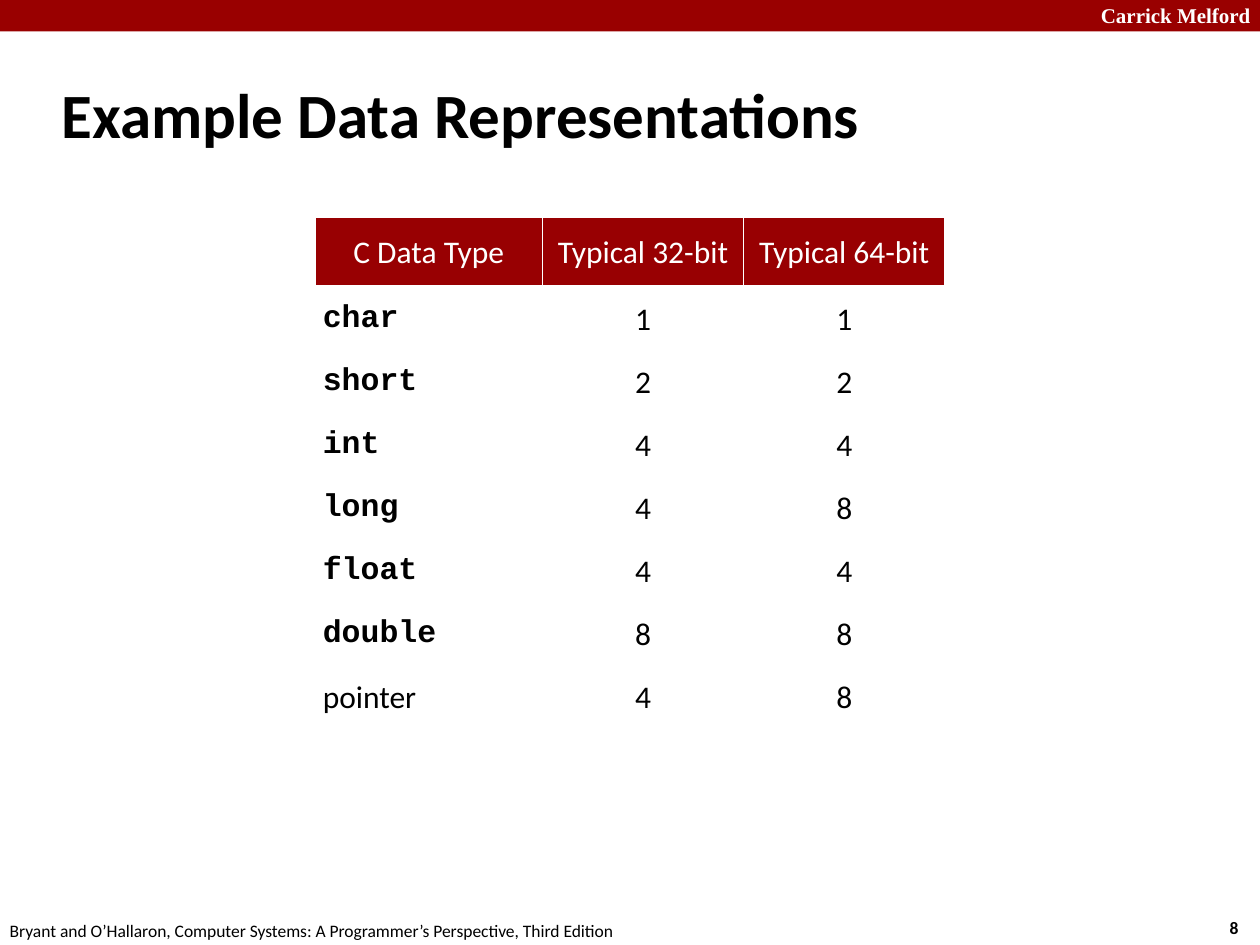
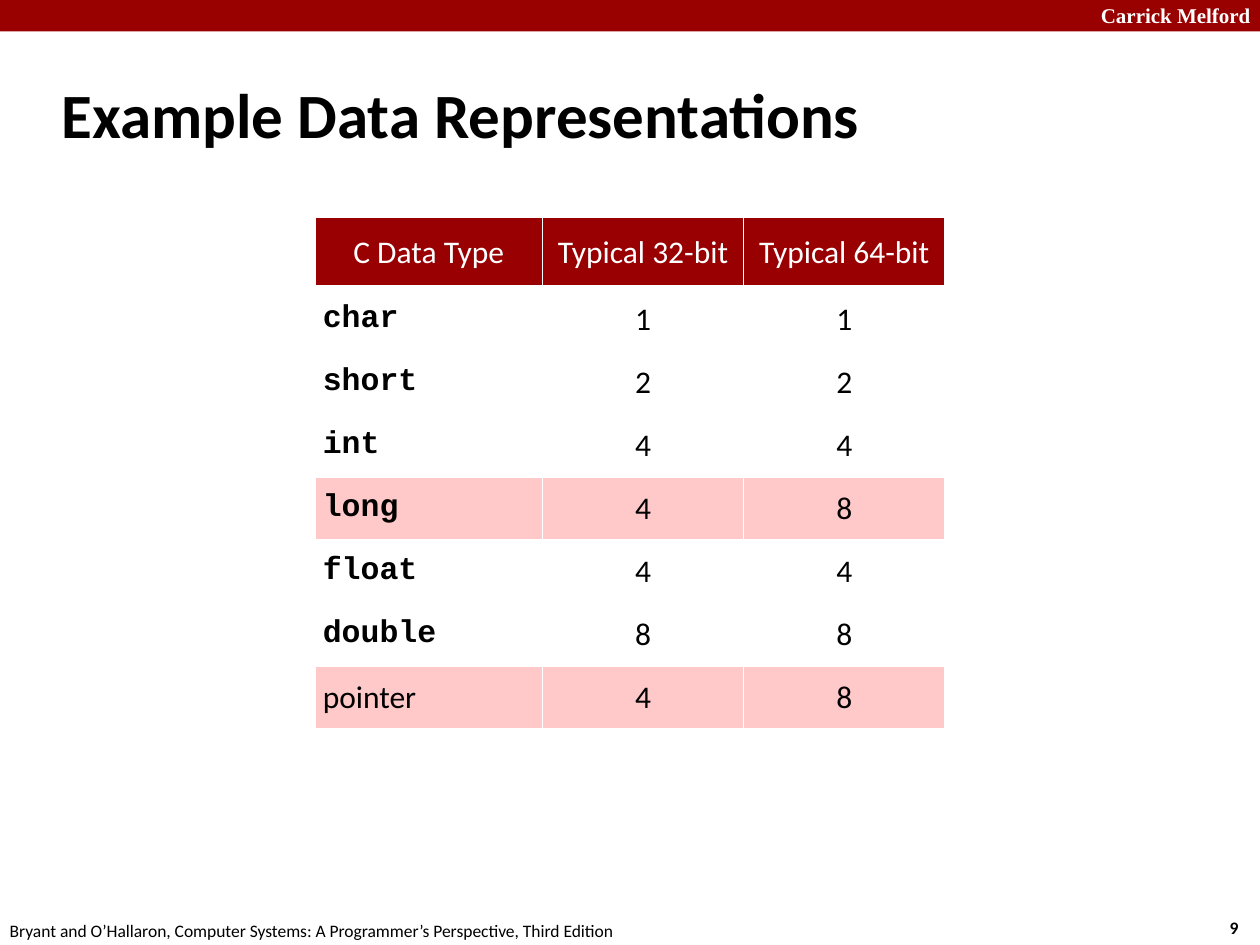
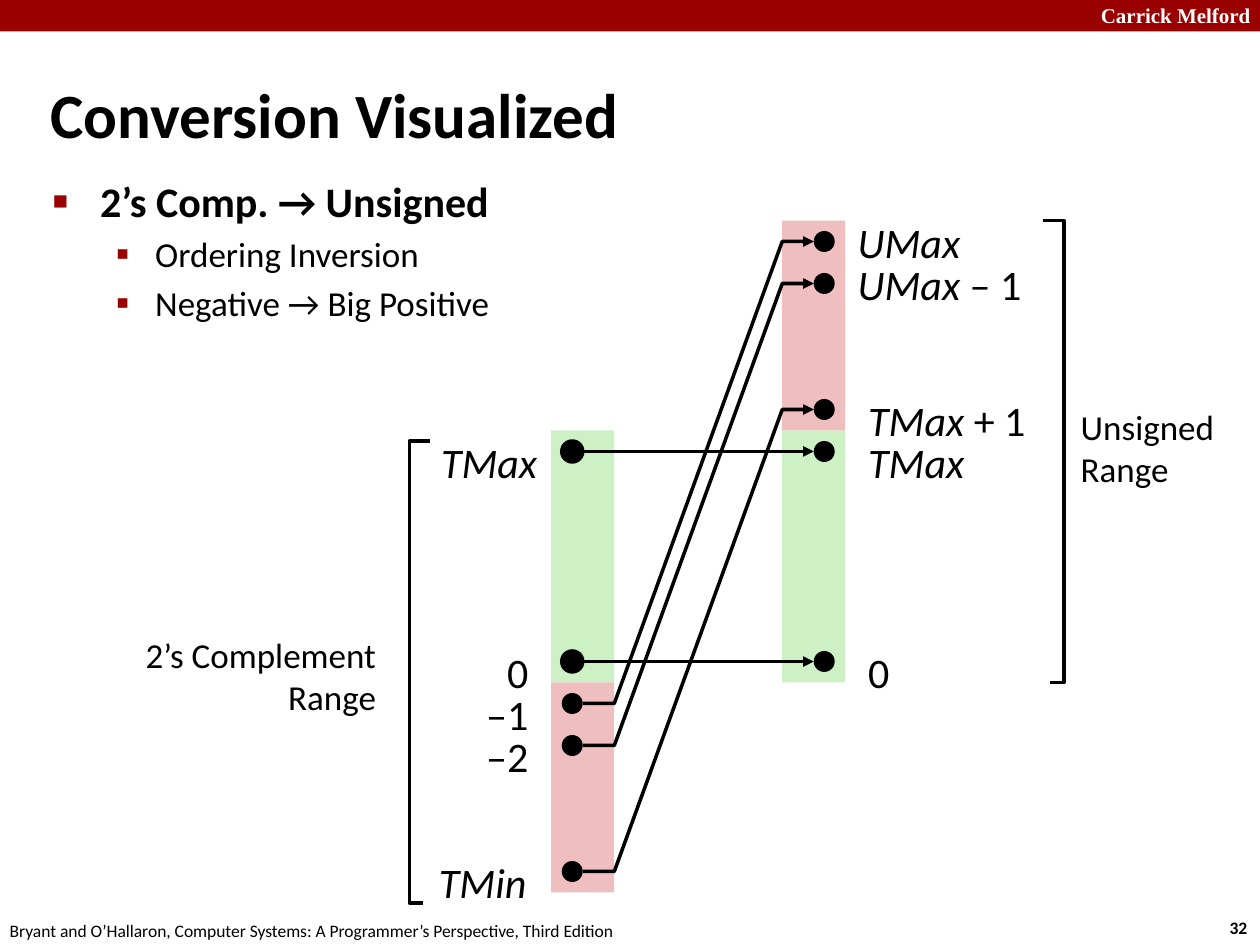
from pptx import Presentation
from pptx.dml.color import RGBColor
from pptx.enum import shapes, text
from pptx.oxml import parse_xml
from pptx.oxml.ns import nsdecls
from pptx.util import Pt

BAND_RED = "990000"
HEADER_RED = "980002"
HIGHLIGHT = "FFC8C9"
GREEN = "CDF1C5"
PINK = "EFBFBF"
BLACK = "000000"
WHITE = "FFFFFF"
BODY_FONT = "Calibri"
CODE_FONT = "Courier New"
LEFT, CENTER, RIGHT = text.PP_ALIGN.LEFT, text.PP_ALIGN.CENTER, text.PP_ALIGN.RIGHT

FOOTER = ("Bryant and O’Hallaron, Computer Systems: "
          "A Programmer’s Perspective, Third Edition")
SIZES = [
    ("C Data Type", "Typical 32-bit", "Typical 64-bit"),
    ("char", "1", "1"),
    ("short", "2", "2"),
    ("int", "4", "4"),
    ("long", "4", "8"),
    ("float", "4", "4"),
    ("double", "8", "8"),
    ("pointer", "4", "8"),
]


def color(value):
    return RGBColor.from_string(value)


def points(*values):
    return [Pt(value) for value in values]


def xml(tag, attributes="", content=""):
    return parse_xml(f"<a:{tag} {nsdecls('a')} {attributes}>{content}</a:{tag}>")


def solid(value):
    return f'<a:solidFill><a:srgbClr val="{value}"/></a:solidFill>'


def style_paragraph(paragraph, size, ink=BLACK, bold=False, font=BODY_FONT, align=LEFT):
    paragraph.alignment = align
    for run in paragraph.runs:
        run.font.size = Pt(size)
        run.font.name = font
        run.font.bold = bold
        run.font.color.rgb = color(ink)


def add_label(slide, box, words, size, **style):
    text_frame = slide.shapes.add_textbox(*points(*box)).text_frame
    text_frame.word_wrap = True
    text_frame.text = words
    for paragraph in text_frame.paragraphs:
        style_paragraph(paragraph, size, **style)
    return text_frame


def add_block(slide, kind, box, fill):
    shape = slide.shapes.add_shape(kind, *points(*box))
    shape.shadow.inherit = False
    shape.fill.solid()
    shape.fill.fore_color.rgb = color(fill)
    shape.line.fill.background()
    return shape


def style_line(line, arrow=False):
    line.color.rgb = color(BLACK)
    line.width = Pt(2)
    if arrow:
        line._get_or_add_ln().append(xml("tailEnd", 'type="triangle"'))


def add_arrow(slide, start, end):
    connector = slide.shapes.add_connector(
        shapes.MSO_CONNECTOR.STRAIGHT, *points(*start, *end))
    style_line(connector.line, arrow=True)
    connector._element.spPr.append(xml("effectLst"))


def add_polyline(slide, corners, arrow=False):
    start, *others = [points(*corner) for corner in corners]
    builder = slide.shapes.build_freeform(*start)
    builder.add_line_segments(others, close=False)
    shape = builder.convert_to_shape()
    shape.shadow.inherit = False
    shape.fill.background()
    style_line(shape.line, arrow)


def fill_placeholder(placeholder, box, words):
    (placeholder.left, placeholder.top,
     placeholder.width, placeholder.height) = points(*box)
    text_frame = placeholder.text_frame
    text_frame.text = words
    text_frame.auto_size = text.MSO_AUTO_SIZE.NONE
    return text_frame


def start_slide(presentation, layout, title, title_box, number):
    """Add a slide with the shared band, title, footer and slide number."""
    slide = presentation.slides.add_slide(presentation.slide_layouts[layout])
    add_block(slide, shapes.MSO_SHAPE.RECTANGLE, (0, 0, 720, 18), BAND_RED)
    add_label(slide, (622, -2, 103, 22), "Carrick Melford", 12,
              ink=WHITE, bold=True, font="Times New Roman")
    add_label(slide, (695.5, 520.5, 27, 19), str(number), 10, bold=True)
    add_label(slide, (-1.5, 522, 366, 19), FOOTER, 10)
    text_frame = fill_placeholder(slide.shapes.title, title_box, title)
    text_frame.vertical_anchor = text.MSO_ANCHOR.MIDDLE
    style_paragraph(text_frame.paragraphs[0], 36, bold=True)
    return slide


def add_borders(cell, top, bottom):
    for side, width in (("L", 1), ("R", 1), ("T", top), ("B", bottom)):
        cell._tc.get_or_add_tcPr().append(
            xml(f"ln{side}", f'w="{Pt(width)}"', solid(WHITE)))


def add_size_table(slide, box, highlighted):
    table = slide.shapes.add_table(len(SIZES), len(SIZES[0]), *points(*box)).table
    table.first_row = table.horz_banding = False
    for column, width in zip(table.columns, (130, 115, 115)):
        column.width = Pt(width)
    for row_index, values in enumerate(SIZES):
        header = row_index == 0
        table.rows[row_index].height = Pt(40.5 if header else 36)
        for column_index, value in enumerate(values):
            cell = table.cell(row_index, column_index)
            cell.text = value
            cell.vertical_anchor = text.MSO_ANCHOR.MIDDLE
            cell.margin_left = cell.margin_right = Pt(4.5)
            cell.margin_top = cell.margin_bottom = Pt(4.5)
            type_name = column_index == 0 and not header
            code = type_name and value != "pointer"
            style_paragraph(cell.text_frame.paragraphs[0], 18,
                            ink=WHITE if header else BLACK, bold=code,
                            font=CODE_FONT if code else BODY_FONT,
                            align=LEFT if type_name else CENTER)
            add_borders(cell, top=3 if row_index == 1 else 1, bottom=3 if header else 1)
            if header or values[0] in highlighted:
                cell.fill.solid()
                cell.fill.fore_color.rgb = color(HEADER_RED if header else HIGHLIGHT)
            else:
                cell.fill.background()


def add_bullet_list(slide, box):
    items = [(0, "2’s Comp. → Unsigned"), (1, "Ordering Inversion"),
             (1, "Negative → Big Positive")]
    # size, left margin, hanging indent, bullet, bullet size in percent
    levels = [(24, 27, 27, "■", 60), (20, 58.5, 22.5, "▪", 110)]
    text_frame = fill_placeholder(slide.placeholders[1], box,
                                  "\n".join(words for _, words in items))
    for paragraph, (level, _) in zip(text_frame.paragraphs, items):
        size, margin, hanging, bullet, percent = levels[level]
        paragraph.level = level
        style_paragraph(paragraph, size, bold=level == 0)
        properties = paragraph._p.get_or_add_pPr()
        properties.set("marL", str(Pt(margin)))
        properties.set("indent", str(-Pt(hanging)))
        properties.append(xml("buClr", "", f'<a:srgbClr val="{BAND_RED}"/>'))
        properties.append(xml("buSzPct", f'val="{percent * 1000}"'))
        properties.append(xml("buChar", f'char="{bullet}"'))


def add_symbol(slide, box, symbol, suffix, align):
    """Label a value: the symbol in italics, the suffix upright."""
    paragraph = add_label(slide, box, symbol or suffix, 24).paragraphs[0]
    paragraph.runs[0].font.italic = bool(symbol)
    if symbol and suffix:
        paragraph.add_run().text = suffix
    style_paragraph(paragraph, 24, align=align)


def add_conversion_diagram(slide, left, top):
    """Draw both ranges on a grid of rows, each one value high."""
    row, bar_width, dot = 24, 36, 12
    signed_left, unsigned_left = left + 261, left + 393
    signed_dot, unsigned_dot = signed_left + 6, unsigned_left + 18
    line_start, line_end = signed_dot + dot, unsigned_dot

    def row_y(index):
        return top + index * row

    bars = [(unsigned_left, 5, 6, GREEN), (signed_left, 5, 6, GREEN),
            (signed_left, 11, 5, PINK), (unsigned_left, 0, 5, PINK)]
    for bar_left, first, count, fill in bars:
        add_block(slide, shapes.MSO_SHAPE.RECTANGLE,
                  (bar_left, row_y(first), bar_width, count * row), fill)

    # row of the signed value, row of the unsigned value
    mappings = [(10.5, 10.5), (5.5, 5.5), (11.5, 0.5), (12.5, 1.5), (15.5, 4.5)]
    for signed_row, unsigned_row in mappings:
        start = line_start, row_y(signed_row)
        end = line_end, row_y(unsigned_row)
        for dot_left, y in ((signed_dot, start[1]), (unsigned_dot, end[1])):
            shape = add_block(slide, shapes.MSO_SHAPE.OVAL,
                              (dot_left, y - dot / 2, dot, dot), BLACK)
            if dot_left == signed_dot and signed_row == unsigned_row:
                style_line(shape.line)
        if signed_row == unsigned_row:
            add_arrow(slide, start, end)
        else:
            bends = [(signed_left + bar_width, start[1]), (unsigned_left, end[1])]
            add_polyline(slide, [start, *bends, end], arrow=True)

    # row, distance from the bar, width, symbol, suffix
    signed_labels = [(5.5, 1, 71, "TMax", ""), (10.5, 6, 60, "", "0"),
                     (11.5, 6, 60, "", "–1"), (12.5, 6, 60, "", "–2"),
                     (15.5, 7, 66, "TMin", "")]
    for index, gap, width, symbol, suffix in signed_labels:
        box = (signed_left - gap - width, row_y(index - 0.5), width, 37)
        add_symbol(slide, box, symbol, suffix, RIGHT)
    unsigned_labels = [(0.25, 0, 90, "UMax", ""), (1.25, 0, 114, "UMax", " – 1"),
                       (4.5, 6, 112, "TMax", " + 1"), (5.5, 6, 71, "TMax", ""),
                       (10.5, 6, 60, "", "0")]
    for index, gap, width, symbol, suffix in unsigned_labels:
        box = (unsigned_left + bar_width + gap, row_y(index - 0.5), width, 37)
        add_symbol(slide, box, symbol, suffix, LEFT)

    # spine, upper tip, lower tip, first row, last row
    brackets = [(180, 192, 188, 5.25, 16.25), (554, 542, 546, 0, 11)]
    for spine, upper, lower, first, last in brackets:
        add_polyline(slide, [(left + lower, row_y(last)), (left + spine, row_y(last)),
                             (left + spine, row_y(first)), (left + upper, row_y(first))])
    add_label(slide, (left, top + 232.5, 168, 55), "2’s Complement Range", 20, align=RIGHT)
    add_label(slide, (left + 556.5, top + 102, 92, 55), "Unsigned\nRange", 20)


def main():
    presentation = Presentation()
    presentation.slide_width, presentation.slide_height = points(720, 540)
    for number, highlighted in ((8, ()), (9, ("long", "pointer"))):
        slide = start_slide(presentation, 5, "Example Data Representations",
                            (28, 34.5, 598, 60), number)
        add_size_table(slide, (180, 124, 360, 292.5), highlighted)
    slide = start_slide(presentation, 1, "Conversion Visualized",
                        (21.5, 42, 626, 45), 32)
    add_bullet_list(slide, (23, 96.5, 328, 135))
    add_conversion_diagram(slide, left=54, top=126)
    presentation.save("out.pptx")


if __name__ == "__main__":
    main()
